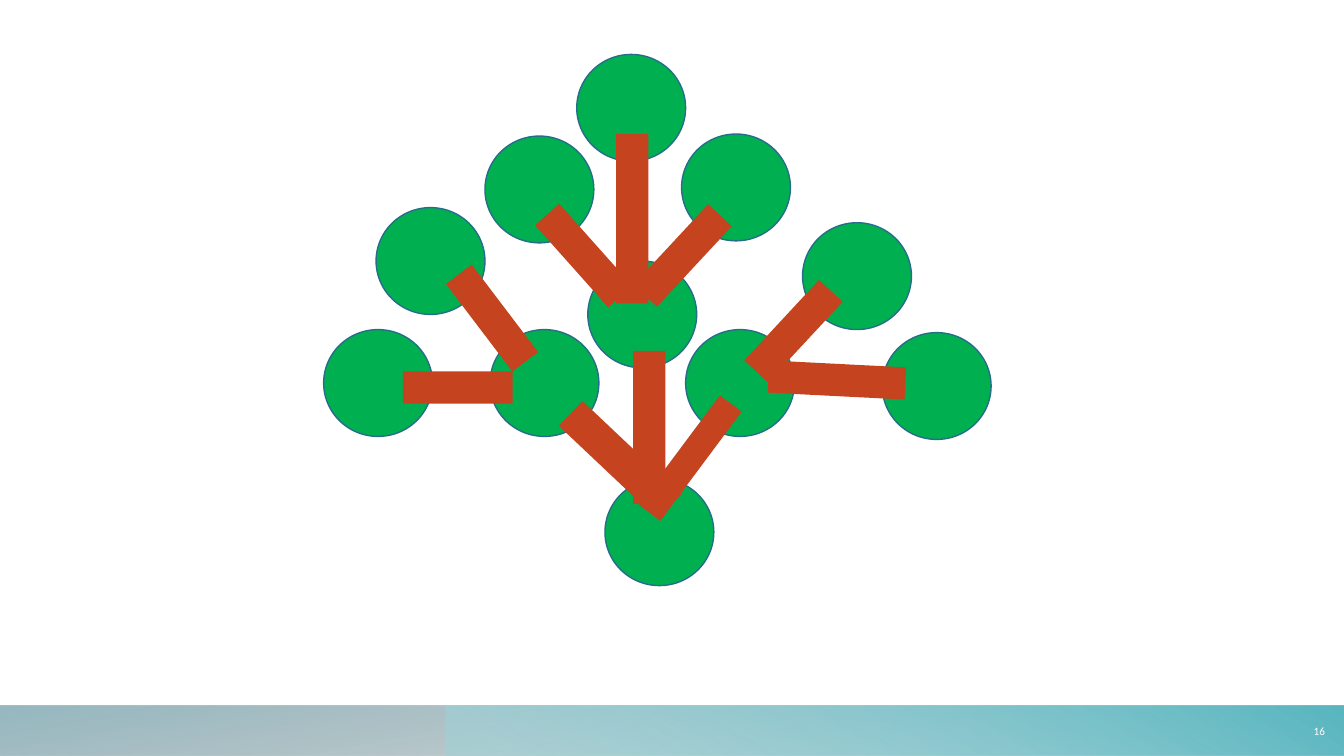
from dataclasses import dataclass

from lxml import etree
from pptx import Presentation
from pptx.dml.color import RGBColor
from pptx.enum.shapes import MSO_SHAPE
from pptx.enum.text import MSO_ANCHOR, PP_ALIGN
from pptx.oxml.ns import qn
from pptx.util import Inches, Pt

OVAL, RECT = MSO_SHAPE.OVAL, MSO_SHAPE.RECTANGLE
MIDDLE, RIGHT = MSO_ANCHOR.MIDDLE, PP_ALIGN.RIGHT


@dataclass(frozen=True)
class Theme:
    leaf: RGBColor = RGBColor(0x00, 0xB0, 0x50)
    leaf_line: RGBColor = RGBColor(0x26, 0x6D, 0x8A)
    branch: RGBColor = RGBColor(0xC5, 0x43, 0x1E)
    number: RGBColor = RGBColor(0xFF, 0xFF, 0xFF)
    # Gradient stops: position %, colour, opacity %
    band_back: tuple = ((14, "7A8C8E", 28), (100, "84ACB6", 85))
    band_front: tuple = ((9, "9BD3D9", 55), (100, "58B6C0", 100))
    font: str = "Calibri"
    number_size: Pt = Pt(8)


THEME = Theme()
SLIDE_W, SLIDE_H = 13.33, 7.5
LEAF_W, LEAF_H = 1.08, 1.06

# Left and top of each leaf within the tree
LEAVES = [
    (2.51, 0), (2.79, 4.21), (1.65, 2.73), (2.62, 2.05), (3.59, 2.73), (0, 2.73),
    (0.52, 1.52), (1.6, 0.81), (3.55, 0.79), (4.75, 1.67), (5.54, 2.76),
]
# Left, top, width, height and rotation of each branch within the tree
BRANCHES = [
    (3.07, 2.94, 0.32, 1.52, 0),
    (3.5, 3.33, 0.27, 1.35, 36.7),
    (2.77, 3.35, 0.34, 1.35, 313.4),
    (1.51, 2.07, 0.32, 1.09, 322.8),
    (1.17, 2.76, 0.32, 1.09, 270),
    (2.42, 1.45, 0.32, 1.09, 318.3),
    (3.4, 1.45, 0.32, 1.09, 42.9),
    (2.9, 0.79, 0.32, 1.68, 0),
    (4.5, 2.2, 0.32, 1.09, 42.9),
    (4.93, 2.55, 0.32, 1.36, 92.9),
]


def add_plain_shape(shapes, kind, left, top, width, height, rotation=0):
    sp = shapes.add_shape(kind, Inches(left), Inches(top), Inches(width), Inches(height))
    sp.shadow.inherit = False
    sp.rotation = rotation
    sp.line.fill.background()
    return sp


def set_gradient(sp, stops, angle):
    """Fill with a linear gradient whose stops carry opacity."""
    grad = etree.Element(qn("a:gradFill"), rotWithShape="1")
    stop_list = etree.SubElement(grad, qn("a:gsLst"))
    for position, colour, opacity in stops:
        stop = etree.SubElement(stop_list, qn("a:gs"), pos=str(position * 1000))
        clr = etree.SubElement(stop, qn("a:srgbClr"), val=colour)
        etree.SubElement(clr, qn("a:alpha"), val=str(opacity * 1000))
    etree.SubElement(grad, qn("a:lin"), ang=str(angle * 60000), scaled="0")
    sp._element.spPr.find(qn("a:prstGeom")).addnext(grad)


def add_footer(slide, left, top, width, height, number):
    front = 4.42
    bands = [
        (left, width, 180, THEME.band_back, 100),
        (left + front, width - front, 0, THEME.band_front, 240),
    ]
    for x, w, rotation, stops, angle in bands:
        sp = add_plain_shape(slide.shapes, RECT, x, top, w, height, rotation)
        sp._element.spPr.find(qn("a:xfrm")).set("flipH", "1")
        set_gradient(sp, stops, angle)

    box = slide.shapes.add_textbox(
        Inches(left + width - 0.57), Inches(top + 0.01), Inches(0.48), Inches(height - 0.01))
    tf = box.text_frame
    tf.word_wrap = True
    tf.vertical_anchor = MIDDLE
    p = tf.paragraphs[0]
    p.alignment = RIGHT
    p.space_after = Pt(6)
    r = p.add_run()
    r.text = number
    r.font.name = THEME.font
    r.font.size = THEME.number_size
    r.font.color.rgb = THEME.number


def add_tree(slide, left, top):
    tree = slide.shapes.add_group_shape()
    for x, y in LEAVES:
        sp = add_plain_shape(tree.shapes, OVAL, left + x, top + y, LEAF_W, LEAF_H)
        sp.fill.solid()
        sp.fill.fore_color.rgb = THEME.leaf
        sp.line.color.rgb = THEME.leaf_line
        sp.line.width = Pt(1)
    for x, y, width, height, rotation in BRANCHES:
        sp = add_plain_shape(tree.shapes, RECT, left + x, top + y, width, height, rotation)
        sp.fill.solid()
        sp.fill.fore_color.rgb = THEME.branch


def main():
    prs = Presentation()
    prs.slide_width, prs.slide_height = Inches(SLIDE_W), Inches(SLIDE_H)
    slide = prs.slides.add_slide(prs.slide_layouts.get_by_name("Blank"))
    add_footer(slide, 0, 7, SLIDE_W, 0.5, "16")
    add_tree(slide, 3.21, 0.54)
    prs.save("out.pptx")


if __name__ == "__main__":
    main()
